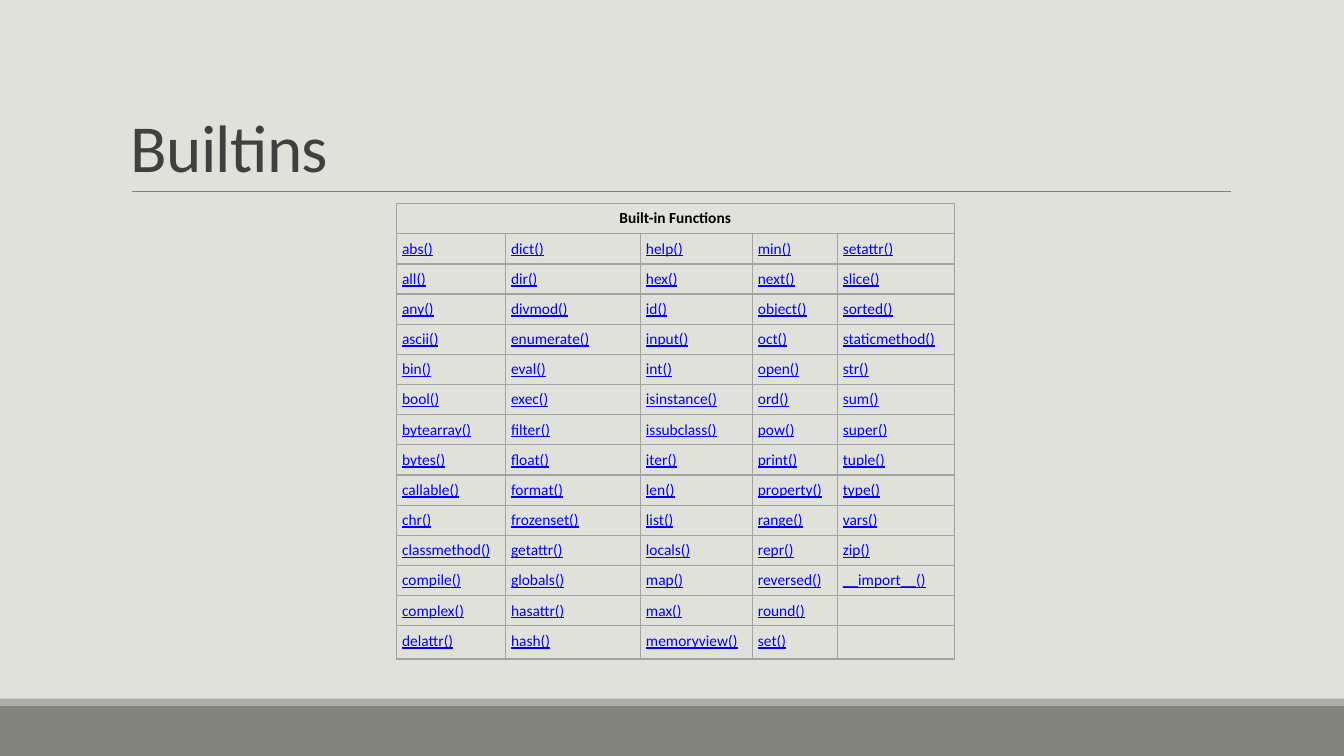
from lxml.etree import SubElement
from pptx import Presentation
from pptx.dml.color import RGBColor
from pptx.enum.shapes import MSO_CONNECTOR as CONN, MSO_SHAPE as SHAPE
from pptx.enum.text import MSO_ANCHOR as ANCHOR, PP_ALIGN as ALIGN
from pptx.oxml.ns import qn
from pptx.util import Inches, Pt

BACK = RGBColor(0xE1, 0xE1, 0xDB)
BAND = RGBColor(0x82, 0x84, 0x7C)
STRIPE = RGBColor(0xAC, 0xAD, 0xA8)
RULE = RGBColor(0x80, 0x80, 0x80)
BORDER = RGBColor(0xA3, 0xA3, 0xA3)
TITLE = RGBColor(0x40, 0x40, 0x40)
BLACK = RGBColor(0, 0, 0)
LINK = RGBColor(0, 0, 0xFF)
FONT = "Calibri"
WIDTH, HEIGHT = Inches(13.33), Inches(7.5)
CELL_SIZE = Pt(11)
COL_SHARES = [8.11, 10.04, 8.33, 6.32, 8.7]
ROW_SHARE, LAST_ROW_SHARE = 3.99, 4.4
FUNCTIONS = [
    "abs all any ascii bin bool bytearray bytes callable chr classmethod compile complex delattr",
    "dict dir divmod enumerate eval exec filter float format frozenset getattr globals hasattr hash",
    "help hex id input int isinstance issubclass iter len list locals map max memoryview",
    "min next object oct open ord pow print property range repr reversed round set",
    "setattr slice sorted staticmethod str sum super tuple type vars zip __import__",
]


def across(share):
    """Turn a percentage of the slide width into a length."""
    return int(WIDTH * share / 100)


def down(share):
    """Turn a percentage of the slide height into a length."""
    return int(HEIGHT * share / 100)


def add_run(p, text, size, color, bold=False, underline=False):
    """Add one formatted run to a paragraph."""
    r = p.add_run()
    r.text = text
    r.font.name, r.font.size = FONT, size
    r.font.bold, r.font.underline = bold, underline
    r.font.color.rgb = color
    return r


def add_band(s, top, height, color):
    """Add a plain band over the full slide width."""
    sp = s.shapes.add_shape(SHAPE.RECTANGLE, 0, down(top), WIDTH, down(height))
    sp.shadow.inherit = False
    sp.fill.solid()
    sp.fill.fore_color.rgb = color
    sp.line.fill.background()


def add_rule(s, left, right, y):
    """Add the thin rule under the title."""
    ln = s.shapes.add_connector(CONN.STRAIGHT, across(left), down(y), across(right), down(y))
    ln.line.color.rgb = RULE
    ln.line.width = Pt(0.5)
    SubElement(ln._element.spPr, qn("a:effectLst"))


def add_title(s, text):
    """Add the slide title, standing on the rule."""
    sp = s.shapes.add_textbox(across(9), down(4.13), across(82.5), down(21.2))
    tf = sp.text_frame
    tf.word_wrap = True
    tf.vertical_anchor = ANCHOR.BOTTOM
    p = tf.paragraphs[0]
    p.line_spacing = 0.85
    r = add_run(p, text, Pt(48), TITLE)
    r.font._element.set("spc", "-50")


def style_cell(cell):
    """Give a cell narrow margins, thin borders and no fill."""
    cell.margin_left = cell.margin_right = Pt(4)
    cell.margin_top = cell.margin_bottom = Pt(4)
    tcPr = cell._tc.get_or_add_tcPr()
    for side in ("lnL", "lnR", "lnT", "lnB"):
        ln = SubElement(tcPr, qn(f"a:{side}"), w=str(Pt(1)))
        fill = SubElement(ln, qn("a:solidFill"))
        SubElement(fill, qn("a:srgbClr"), val=str(BORDER))
    cell.fill.background()


def add_function_table(s, heading, columns):
    """Add the table of functions, listed column by column."""
    names = [column.split() for column in columns]
    rows = 1 + max(len(column) for column in names)
    heights = [ROW_SHARE] * (rows - 1) + [LAST_ROW_SHARE]
    frame = s.shapes.add_table(rows, len(names), across(29.5), down(26.93),
                               across(sum(COL_SHARES)), down(sum(heights)))
    table = frame.table
    table.first_row = table.horz_banding = False
    for col, share in zip(table.columns, COL_SHARES):
        col.width = across(share)
    for row, share in zip(table.rows, heights):
        row.height = down(share)
    for cell in table.iter_cells():
        style_cell(cell)
        end = cell.text_frame.paragraphs[0]._p.get_or_add_endParaRPr()
        end.set("sz", str(int(CELL_SIZE.pt * 100)))
    table.cell(0, 0).merge(table.cell(0, len(names) - 1))
    p = table.cell(0, 0).text_frame.paragraphs[0]
    p.alignment = ALIGN.CENTER
    add_run(p, heading, CELL_SIZE, BLACK, bold=True)
    for c, column in enumerate(names):
        for r, name in enumerate(column, 1):
            p = table.cell(r, c).text_frame.paragraphs[0]
            add_run(p, f"{name}()", CELL_SIZE, LINK, underline=True)


def main():
    """Build the slide and save it."""
    prs = Presentation()
    prs.slide_width, prs.slide_height = WIDTH, HEIGHT
    s = prs.slides.add_slide(prs.slide_layouts[6])
    s.background.fill.solid()
    s.background.fill.fore_color.rgb = BACK
    add_band(s, 93.33, 6.67, BAND)
    add_band(s, 92.4, 0.93, STRIPE)
    add_rule(s, 9.83, 91.58, 25.33)
    add_title(s, "Builtins")
    add_function_table(s, "Built-in Functions", FUNCTIONS)
    prs.save("out.pptx")


if __name__ == "__main__":
    main()
